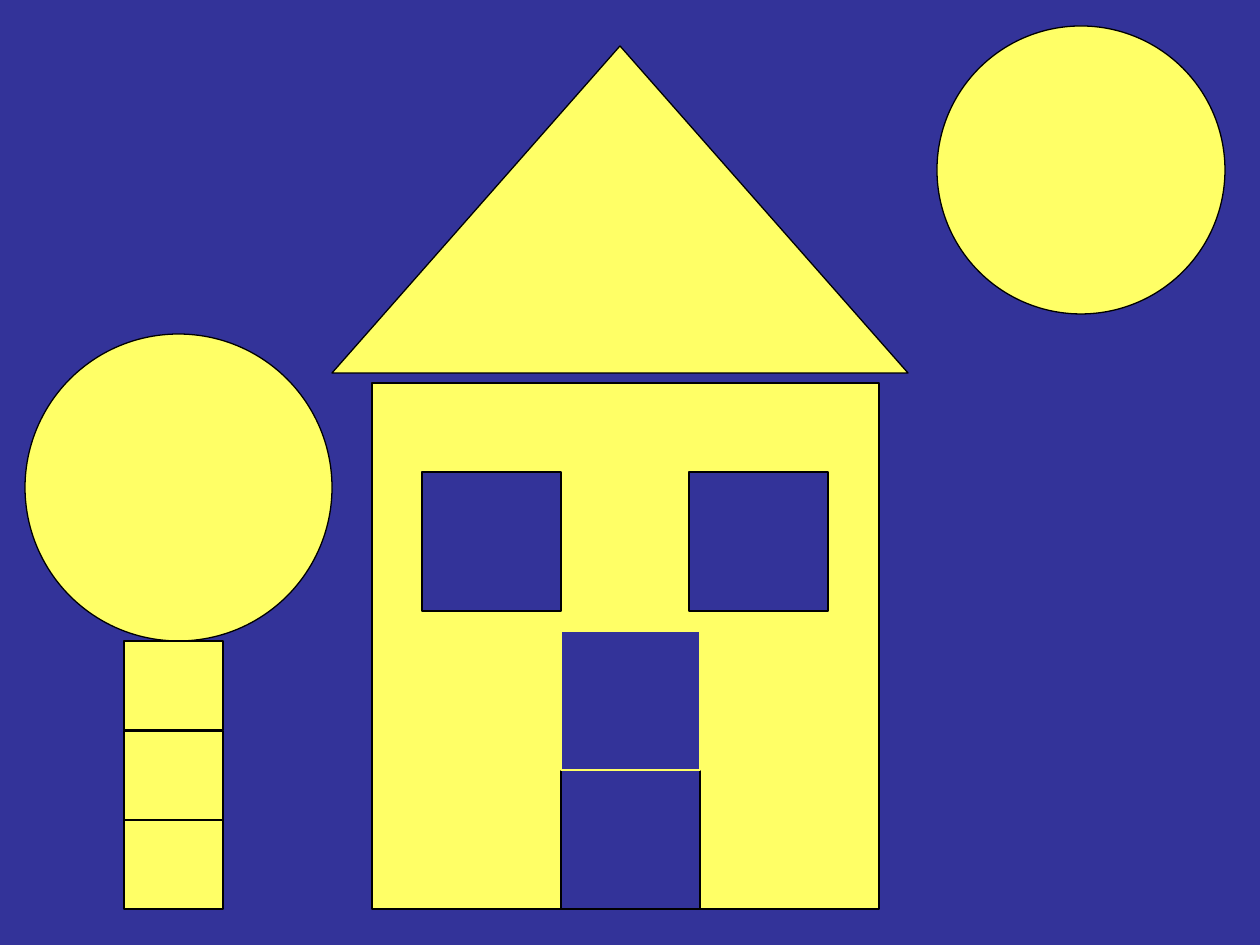
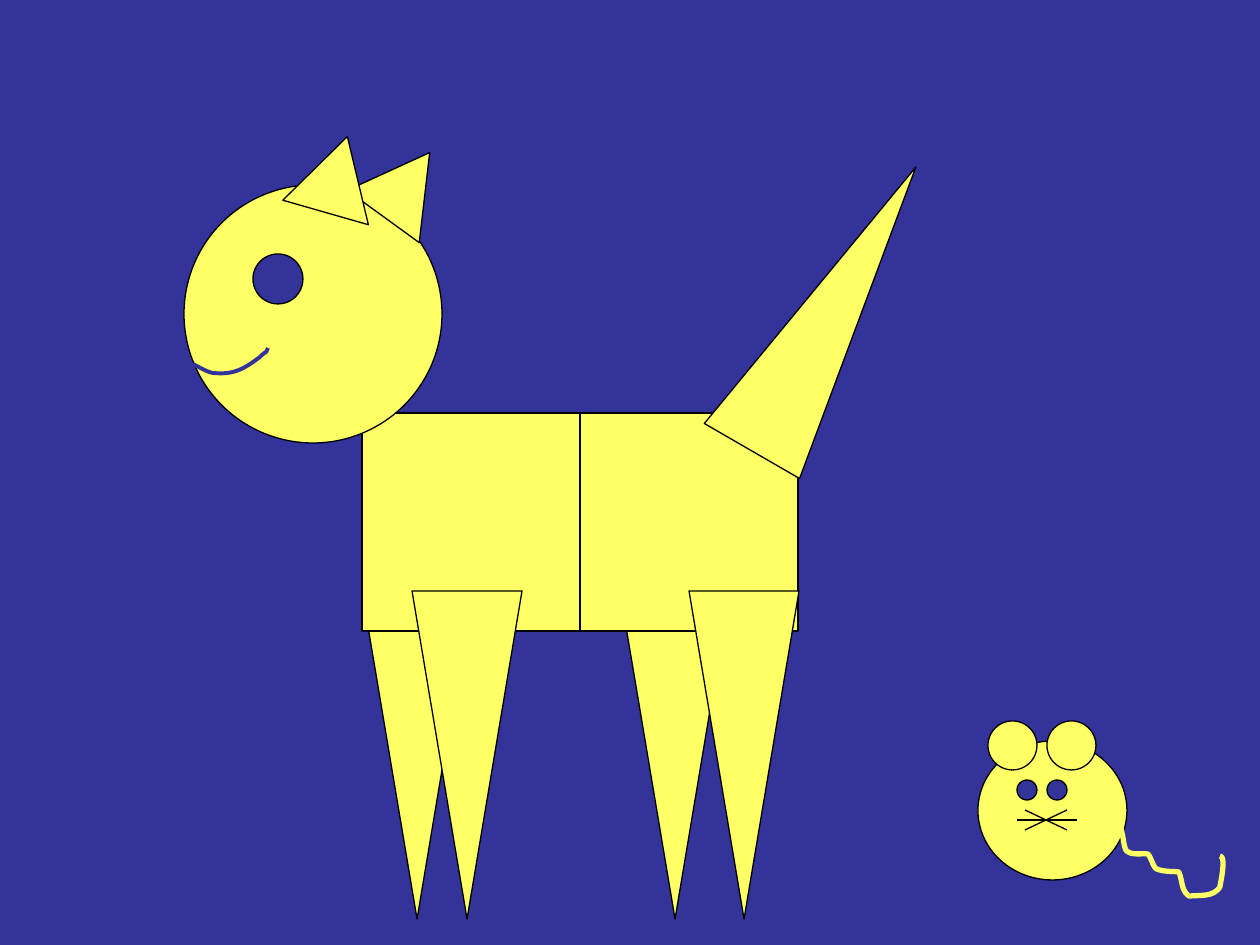
"""Build two slides of figures made from simple shapes: a house scene, and a cat with a mouse."""
import pptx
import pptx.dml.color
import pptx.enum.shapes
import pptx.oxml
import pptx.oxml.ns
import pptx.util

EMU_PER_PX = 914400 / 126
SLIDE_SIZE = (1260, 945)
NIGHT, YELLOW, BLACK = "333399", "FFFF66", "000000"
THIN = 0.75
CURVE_STEPS = 12
SHAPE_TYPES = pptx.enum.shapes.MSO_SHAPE
CIRCLE, SQUARE, TRIANGLE = SHAPE_TYPES.OVAL, SHAPE_TYPES.RECTANGLE, SHAPE_TYPES.ISOSCELES_TRIANGLE

LEG_TOP, SPIKE_SIZE = 591, (110, 328)
CAT_EAR_SIZE = (89, 79)


def cat_leg(left):
    return (TRIANGLE, left, LEG_TOP, *SPIKE_SIZE, YELLOW, BLACK, 180)


SUN = [(CIRCLE, 937, 26, 288, 288, YELLOW)]
HOUSE = [
    (TRIANGLE, 332, 46, 576, 327, YELLOW),
    (SQUARE, 372, 383, 507, 526, YELLOW),
    *[(SQUARE, left, 472, 139, 139, NIGHT) for left in (422, 689)],
    (SQUARE, 561, 770, 139, 139, NIGHT),
    (SQUARE, 561, 631, 139, 139, NIGHT, YELLOW),
]
TREE = [
    (CIRCLE, 25, 334, 307, 307, YELLOW),
    *[(SQUARE, 124, top, 99, 89, YELLOW) for top in (641, 731, 820)],
]
CAT = [
    *[cat_leg(left) for left in (620, 362)],
    *[(SQUARE, left, 413, 218, 218, YELLOW) for left in (362, 580)],
    (TRIANGLE, 779, 145, *SPIKE_SIZE, YELLOW, BLACK, 30),
    *[cat_leg(left) for left in (412, 689)],
    (CIRCLE, 184, 185, 258, 258, YELLOW),
    (CIRCLE, 253, 254, 50, 50, NIGHT),
    (TRIANGLE, 362, 145, *CAT_EAR_SIZE, YELLOW, BLACK, 36),
    (TRIANGLE, 292, 135, *CAT_EAR_SIZE, YELLOW, BLACK, 16),
]
CAT_MOUTH = [
    (193, 364),
    (199, 367), (207, 372), (213, 373),
    (234, 375), (244, 369), (260, 357),
    (268, 349), (265, 355), (268, 348),
]
MOUSE = [
    (CIRCLE, 978, 741, 149, 139, YELLOW),
    *[(CIRCLE, left, 721, 49, 49, YELLOW) for left in (988, 1047)],
    *[(CIRCLE, left, 780, 20, 20, NIGHT) for left in (1017, 1047)],
]
MOUSE_TAIL = [
    (1121, 829),
    (1123, 834), (1124, 847), (1126, 850),
    (1131, 856), (1142, 853), (1148, 854),
    (1151, 857), (1154, 869), (1157, 869),
    (1164, 872), (1172, 871), (1179, 872),
    (1183, 882), (1181, 890), (1189, 896),
    (1202, 895), (1213, 897), (1220, 887),
    (1220, 885), (1227, 856), (1220, 856),
]
MOUSE_WHISKERS = [(1017, 820, 1077, 820), (1025, 830, 1067, 810), (1067, 830, 1025, 810)]


def px(*lengths):
    return [pptx.util.Emu(round(length * EMU_PER_PX)) for length in lengths]


def set_fill(fill, color):
    fill.solid()
    fill.fore_color.rgb = pptx.dml.color.RGBColor.from_string(color)


def set_line(line, color, width=THIN):
    set_fill(line.fill, color)
    line.width = pptx.util.Pt(width)


def add_figure(slide, figure):
    for kind, left, top, width, height, fill, *style in figure:
        line_color, rotation = (style + [BLACK, 0][len(style):])
        shape = slide.shapes.add_shape(kind, *px(left, top, width, height))
        shape.rotation = rotation
        shape.shadow.inherit = False
        set_fill(shape.fill, fill)
        set_line(shape.line, line_color)


def curve_points(points):
    for index in range(0, len(points) - 1, 3):
        segment = points[index:index + 4]
        for step in range(1, CURVE_STEPS + 1):
            t = step / CURVE_STEPS
            weights = ((1 - t) ** 3, 3 * t * (1 - t) ** 2, 3 * t ** 2 * (1 - t), t ** 3)
            yield px(*[sum(w * point[axis] for w, point in zip(weights, segment)) for axis in (0, 1)])


def add_curve(slide, points, color, width):
    builder = slide.shapes.build_freeform(*px(*points[0]))
    builder.add_line_segments(list(curve_points(points)), close=False)
    shape = builder.convert_to_shape()
    shape.shadow.inherit = False
    shape.fill.background()
    set_line(shape.line, color, width)


def add_whisker(slide, ends):
    connector = slide.shapes.add_connector(pptx.enum.shapes.MSO_CONNECTOR.STRAIGHT, *px(*ends))
    set_line(connector.line, BLACK)
    properties = connector._element.spPr
    properties.append(pptx.oxml.parse_xml(f"<a:effectLst {pptx.oxml.ns.nsdecls('a')}/>"))


def add_night_slide(presentation):
    slide = presentation.slides.add_slide(presentation.slide_layouts[6])
    set_fill(slide.background.fill, NIGHT)
    return slide


def main():
    presentation = pptx.Presentation()
    presentation.slide_width, presentation.slide_height = px(*SLIDE_SIZE)

    house_slide = add_night_slide(presentation)
    for figure in (SUN, HOUSE, TREE):
        add_figure(house_slide, figure)

    cat_slide = add_night_slide(presentation)
    add_figure(cat_slide, CAT)
    add_curve(cat_slide, CAT_MOUTH, NIGHT, 2.25)
    add_figure(cat_slide, MOUSE)
    add_curve(cat_slide, MOUSE_TAIL, YELLOW, 3)
    for ends in MOUSE_WHISKERS:
        add_whisker(cat_slide, ends)

    presentation.save("out.pptx")


if __name__ == "__main__":
    main()
